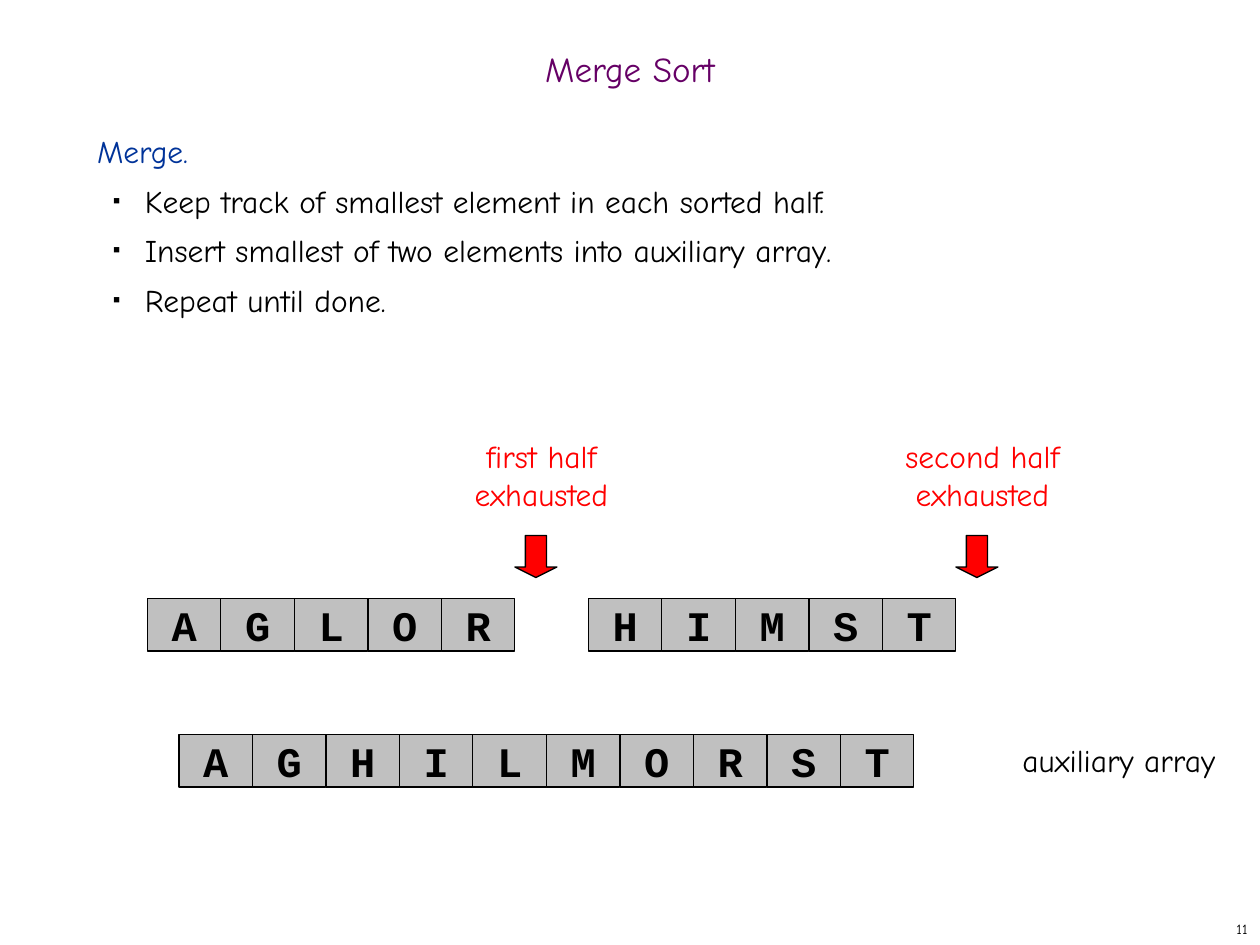
from lxml.etree import SubElement
from pptx import Presentation
from pptx.dml.color import RGBColor
from pptx.enum.shapes import MSO_SHAPE
from pptx.enum.text import MSO_ANCHOR, MSO_AUTO_SIZE, PP_ALIGN
from pptx.oxml.ns import qn
from pptx.util import Inches, Pt

BLACK = RGBColor(0x00, 0x00, 0x00)
RED = RGBColor(0xFF, 0x00, 0x00)
GRAY = RGBColor(0xC0, 0xC0, 0xC0)
BLUE = RGBColor(0x00, 0x33, 0x99)
PURPLE = RGBColor(0x66, 0x00, 0x66)
SANS = "Comic Neue"
MONO = "Courier New"
CELL = Inches(7) // 12
TALL = Inches(5) // 12
ARROW = Inches(1) // 3


def style(para, size, color, name=SANS, bold=False):
    para.font.size = Pt(size)
    para.font.name = name
    para.font.bold = bold
    para.font.color.rgb = color


def place(shape, left, top, width, height):
    shape.left, shape.top = left, top
    shape.width, shape.height = width, height


def paint(shape, fill):
    shape.shadow.inherit = False
    shape.fill.solid()
    shape.fill.fore_color.rgb = fill
    shape.line.color.rgb = BLACK
    shape.line.width = Pt(0.75)


def bullet(para):
    props = para._p.get_or_add_pPr()
    props.set("marL", str(Inches(0.38)))
    props.set("indent", str(-Inches(0.25)))
    color = SubElement(props, qn("a:buClr"))
    SubElement(color, qn("a:srgbClr"), val=str(BLACK))
    SubElement(props, qn("a:buSzPct"), val="35000")
    SubElement(props, qn("a:buChar"), char="■")


def add_title(slide, left, top, width, height):
    title = slide.shapes.title
    place(title, left, top, width, height)
    frame = title.text_frame
    frame.text = "Merge Sort"
    frame.auto_size = MSO_AUTO_SIZE.NONE
    frame.vertical_anchor = MSO_ANCHOR.MIDDLE
    para = frame.paragraphs[0]
    para.alignment = PP_ALIGN.CENTER
    para.line_spacing = 0.7
    style(para, 20, PURPLE)


def add_body(slide, left, top, width, height):
    body = slide.placeholders[1]
    place(body, left, top, width, height)
    frame = body.text_frame
    frame.text = "\n".join([
        "Merge.",
        "Keep track of smallest element in each sorted half.",
        "Insert smallest of two elements into auxiliary array.",
        "Repeat until done.",
    ])
    frame.auto_size = MSO_AUTO_SIZE.NONE
    frame.vertical_anchor = MSO_ANCHOR.TOP
    head, *items = frame.paragraphs
    head.space_before = Pt(4.5)
    style(head, 18, BLUE)
    props = head._p.get_or_add_pPr()
    props.set("marL", "0")
    props.set("indent", "0")
    SubElement(props, qn("a:buNone"))
    for item in items:
        item.level = 1
        item.line_spacing = 1.1
        item.space_before = Pt(4.5)
        bullet(item)
        style(item, 18, BLACK)


def add_label(slide, text, color, left, top, width, height):
    frame = slide.shapes.add_textbox(left, top, width, height).text_frame
    frame.word_wrap = True
    para = frame.paragraphs[0]
    para.text = text
    para.alignment = PP_ALIGN.CENTER
    para.space_before = Pt(11.2)
    style(para, 18, color)


def add_row(shapes, letters, left, top):
    for index, letter in enumerate(letters):
        cell = shapes.add_shape(
            MSO_SHAPE.RECTANGLE, left + index * CELL, top, CELL, TALL)
        paint(cell, GRAY)
        frame = cell.text_frame
        frame.text = letter
        frame.word_wrap = False
        frame.vertical_anchor = MSO_ANCHOR.MIDDLE
        para = frame.paragraphs[0]
        para.alignment = PP_ALIGN.CENTER
        style(para, 24, BLACK, MONO, True)


def add_half(slide, letters, note, left, top, shift):
    end = left + len(letters) * CELL
    add_label(slide, note, RED, end + shift, top, Inches(2.08), Inches(0.7))
    arrow = slide.shapes.add_shape(
        MSO_SHAPE.DOWN_ARROW, end, top + Inches(0.83), ARROW, ARROW)
    arrow.adjustments[1] = 0.25
    paint(arrow, RED)
    group = slide.shapes.add_group_shape()
    add_row(group.shapes, letters, left, top + Inches(1.33))


def add_number(slide, left, top, width, height):
    frame = slide.shapes.add_textbox(left, top, width, height).text_frame
    frame.word_wrap = True
    frame.vertical_anchor = MSO_ANCHOR.MIDDLE
    para = frame.paragraphs[0]
    para.text = "11"
    para.alignment = PP_ALIGN.RIGHT
    style(para, 8, BLACK)


def main():
    deck = Presentation()
    deck.slide_width, deck.slide_height = Inches(10), Inches(7.5)
    slide = deck.slides.add_slide(deck.slide_layouts[1])
    add_title(slide, 0, Inches(0.25), Inches(10), Inches(0.67))
    add_body(slide, Inches(0.67), Inches(1), Inches(8.58), Inches(5.92))
    add_half(slide, "AGLOR", "first half\vexhausted",
             Inches(1.17), Inches(3.42), -Inches(0.83))
    add_half(slide, "HIMST", "second half\vexhausted",
             Inches(4.67), Inches(3.42), -Inches(0.83))
    add_row(slide.shapes, "AGHILMORST", Inches(1.42), Inches(5.83))
    add_label(slide, "auxiliary array", BLACK,
              Inches(7.92), Inches(5.83), Inches(1.92), Inches(0.4))
    add_number(slide, Inches(7.92), Inches(7.25), Inches(2.08), Inches(0.25))
    deck.save("out.pptx")


if __name__ == "__main__":
    main()
